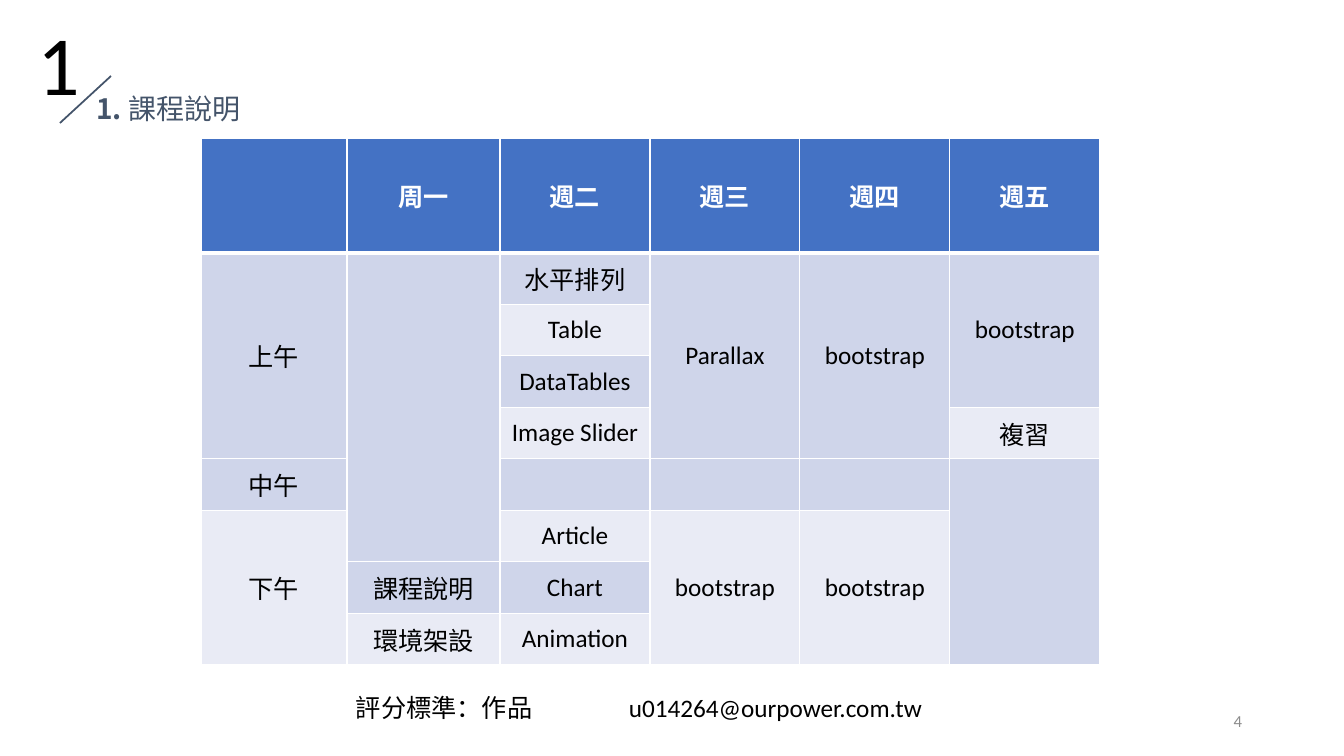
from lxml import etree
from pptx import Presentation, util
from pptx.dml.color import RGBColor
from pptx.enum import shapes, text
from pptx.oxml.ns import qn

PX = 914400 / 100.8  # EMU per pixel
CJK_FONT = "Noto Sans CJK SC"


def px(*lengths):
    return [util.Emu(round(length * PX)) for length in lengths]


def add_run(paragraph, wording, size, color="000000", bold=False, name="Calibri"):
    run = paragraph.add_run()
    run.text = wording
    run.font.size = util.Pt(size)
    run.font.bold = bold
    run.font.name = name
    run.font.color.rgb = RGBColor.from_string(color)
    etree.SubElement(run.font._element, qn("a:ea"), typeface=CJK_FONT)


presentation = Presentation()
presentation.slide_width, presentation.slide_height = px(1344, 756)
slide = presentation.slides.add_slide(presentation.slide_layouts[5])

# Section number, slash and title
number_box = slide.shapes.add_textbox(*px(28, 7, 144, 112))
paragraph = number_box.text_frame.paragraphs[0]
paragraph.alignment = text.PP_ALIGN.JUSTIFY
add_run(paragraph, "1", 60)

slash = slide.shapes.add_connector(shapes.MSO_CONNECTOR.STRAIGHT, *px(111, 76, 60, 123))
slash.line.color.rgb = RGBColor.from_string("44546A")
slash.line.width = util.Pt(1.25)
etree.SubElement(slash._element.spPr, qn("a:effectLst"))

title = slide.shapes.title
title.left, title.top, title.width, title.height = px(86, 86, 645, 44)
title.text_frame.auto_size = text.MSO_AUTO_SIZE.NONE
title.text_frame.vertical_anchor = text.MSO_ANCHOR.TOP
paragraph = title.text_frame.paragraphs[0]
paragraph.alignment = text.PP_ALIGN.LEFT
add_run(paragraph, "1. ", 20, "44546A", True, CJK_FONT)
add_run(paragraph, "課程說明", 20, "44546A", False, CJK_FONT)

# Weekly timetable
schedule = [
    ["", "周一", "週二", "週三", "週四", "週五"],
    ["上午", "", "水平排列", "Parallax", "bootstrap", "bootstrap"],
    ["", "", "Table", "", "", ""],
    ["", "", "DataTables", "", "", ""],
    ["", "", "Image Slider", "", "", "複習"],
    ["中午", "", "", "", "", ""],
    ["下午", "", "Article", "bootstrap", "bootstrap", ""],
    ["", "課程說明", "Chart", "", "", ""],
    ["", "環境架設", "Animation", "", "", ""],
]
# column, first row, last row
merges = [(0, 1, 4), (0, 6, 8), (1, 1, 6), (3, 1, 4), (3, 6, 8),
          (4, 1, 4), (4, 6, 8), (5, 1, 3), (5, 5, 8)]
header_height, body_height = px(115, 412)
frame = slide.shapes.add_table(9, 6, *px(201, 138, 899, 527))
table = frame.table
for column, width in zip(table.columns, px(146, 153, 150, 150, 150, 150)):
    column.width = width
for index, row in enumerate(table.rows):
    row.height = body_height // 8 if index else header_height

for row, entries in enumerate(schedule):
    fill = "4472C4" if row == 0 else "CFD5EA" if row % 2 else "E9EBF5"
    for column, entry in enumerate(entries):
        cell = table.cell(row, column)
        cell.vertical_anchor = text.MSO_ANCHOR.MIDDLE
        for side in "LRTB":
            thick = (row, side) in [(0, "B"), (1, "T")]
            border = etree.SubElement(cell._tc.tcPr, qn(f"a:ln{side}"),
                                      w=str(util.Pt(3 if thick else 1)))
            solid = etree.SubElement(border, qn("a:solidFill"))
            etree.SubElement(solid, qn("a:srgbClr"), val="FFFFFF")
        cell.fill.solid()
        cell.fill.fore_color.rgb = RGBColor.from_string(fill)
        paragraph = cell.text_frame.paragraphs[0]
        paragraph.alignment = text.PP_ALIGN.CENTER
        if entry:
            add_run(paragraph, entry, 18, "000000" if row else "FFFFFF", row == 0)
        else:
            paragraph.font.size = util.Pt(18)

for column, first, last in merges:
    table.cell(first, column).merge(table.cell(last, column))

# Grading note and contact, set apart by a tab stop
note_box = slide.shapes.add_textbox(*px(346, 687, 635, 40))
note_box.text_frame.word_wrap = True
paragraph = note_box.text_frame.paragraphs[0]
tabs = etree.SubElement(paragraph._p.get_or_add_pPr(), qn("a:tabLst"))
etree.SubElement(tabs, qn("a:tab"), pos=str(px(273)[0]), algn="l")
add_run(paragraph, "評分標準：作品", 18)
add_run(paragraph, "\tu014264@ourpower.com.tw", 18)

page_box = slide.shapes.add_textbox(*px(950, 701, 302, 40))
page_box.text_frame.word_wrap = True
page_box.text_frame.vertical_anchor = text.MSO_ANCHOR.MIDDLE
paragraph = page_box.text_frame.paragraphs[0]
paragraph.alignment = text.PP_ALIGN.RIGHT
add_run(paragraph, "4", 12, "8C8C8C")

presentation.save("out.pptx")
